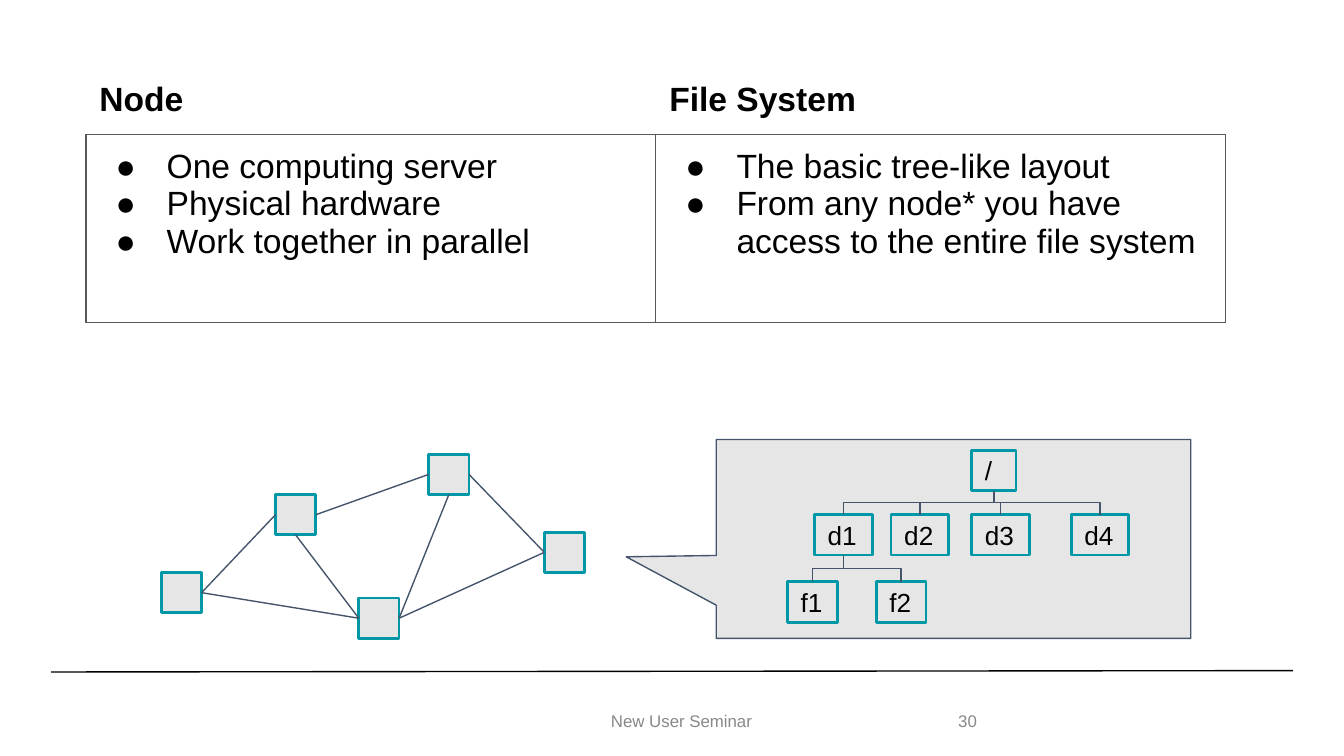
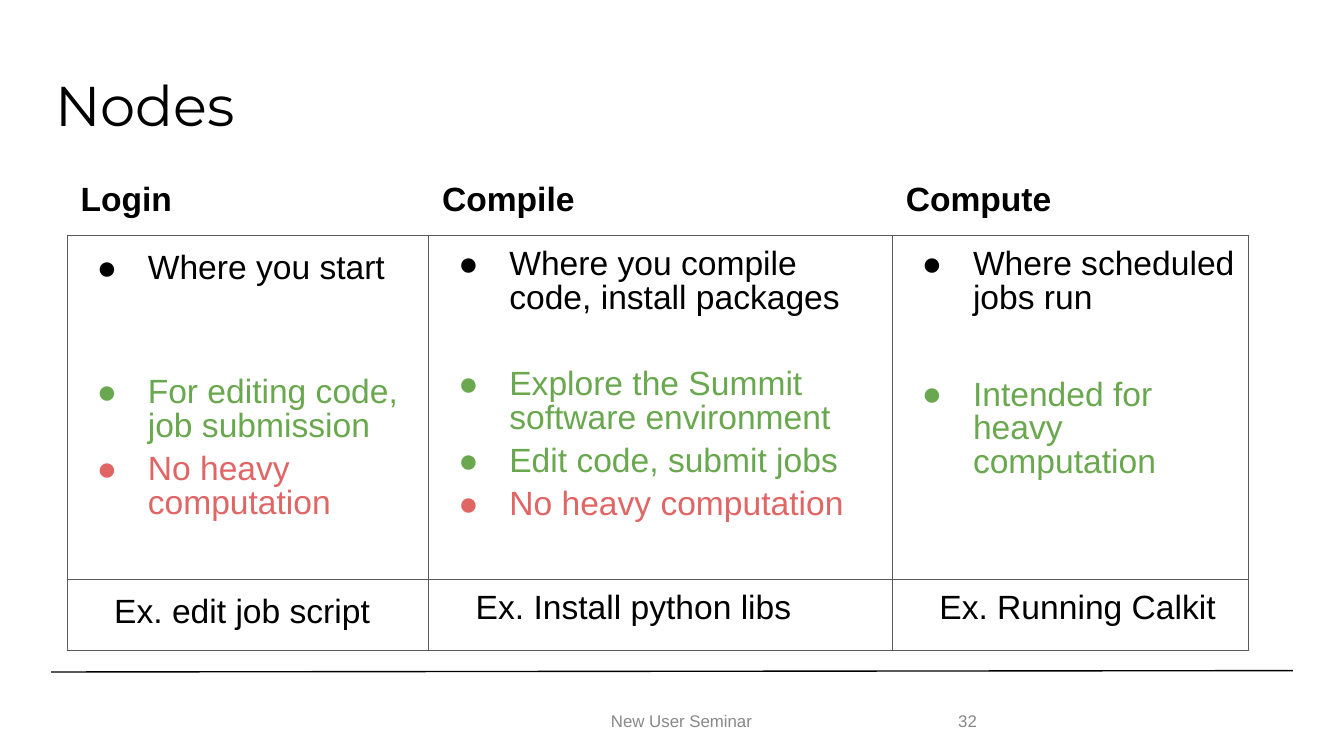
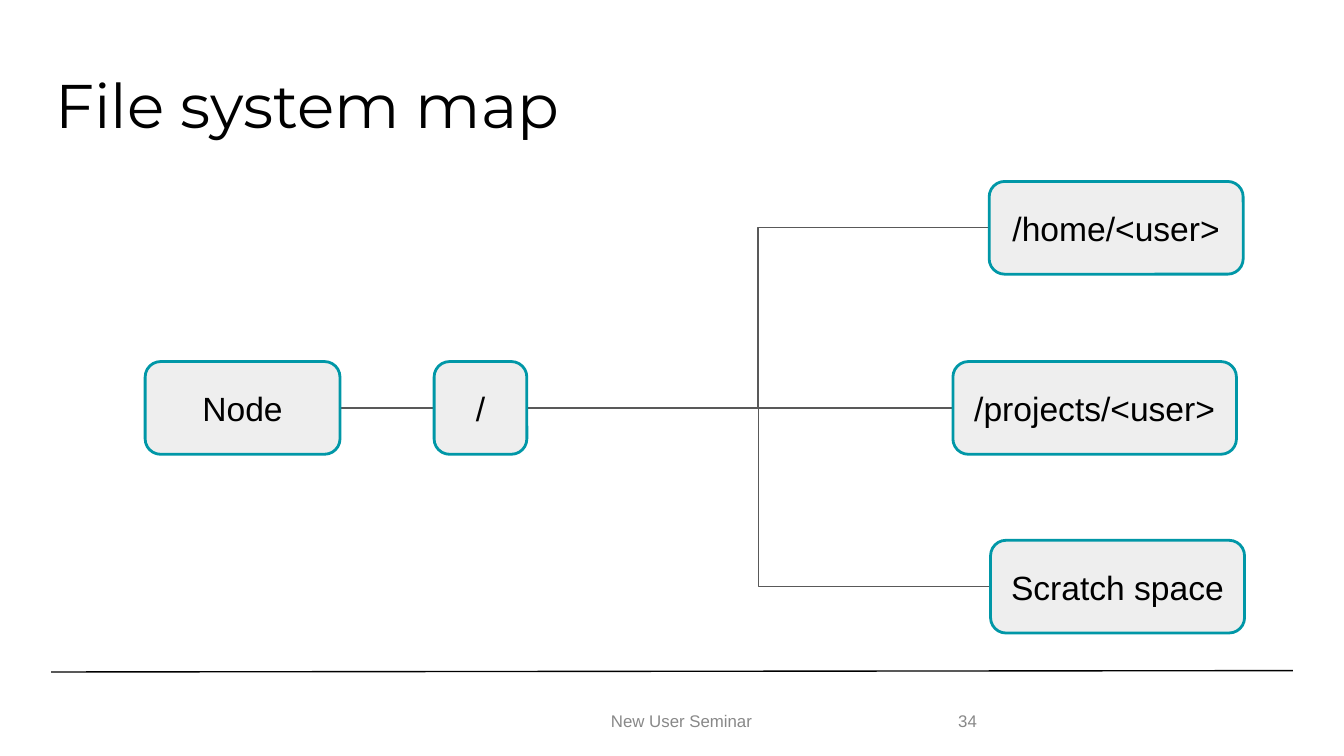
from lxml import etree
from pptx import Presentation
from pptx.dml.color import RGBColor
from pptx.enum.shapes import MSO_CONNECTOR, MSO_SHAPE
from pptx.enum.text import MSO_ANCHOR, PP_ALIGN
from pptx.oxml.ns import qn
from pptx.util import Inches, Pt

BLACK = RGBColor(0x00, 0x00, 0x00)
WHITE = RGBColor(0xFF, 0xFF, 0xFF)
GREY = RGBColor(0x88, 0x88, 0x88)
RULE = RGBColor(0x59, 0x59, 0x59)
SLATE = RGBColor(0x44, 0x54, 0x6A)
TEAL = RGBColor(0x00, 0x97, 0xA7)
PALE = RGBColor(0xE7, 0xE6, 0xE6)
MIST = RGBColor(0xEE, 0xEE, 0xEE)
GREEN = RGBColor(0x6A, 0xA8, 0x4F)
RED = RGBColor(0xE0, 0x66, 0x66)

BODY = {"size": Pt(18), "name": "Arial", "bold": False}
HEADING = BODY | {"bold": True}
LABEL = BODY | {"size": Pt(14)}
FOOTER = {"size": Pt(9), "name": "Arial"}
TITLE = {"name": "Montserrat"}

TEXT_MARGINS = (0.07, 0.04)
BOX_MARGINS = (0.1, 0.1)
SIDES = {"left": (0, 0.5), "right": (1, 0.5), "top": (0.5, 0), "bottom": (0.5, 1)}


def item(text, colour=BLACK, before=0, spacing=0.9, bullet="●", hang=0.38):
    return {"text": text, "colour": colour, "before": before,
            "spacing": spacing, "bullet": bullet, "hang": hang}


def example(text, spacing=0.9):
    return [item(text, spacing=spacing, bullet=None, hang=0.25)]


# Overview slide
OVERVIEW_TABLE = {
    "at": (0.64, 0.5), "columns": [4.24, 4.24], "rows": [0.48, 1.4],
    "headings": ["Node", "File System"],
    "body": [[
        [item("One computing server", spacing=1),
         item("Physical hardware", spacing=1),
         item("Work together in parallel", spacing=1)],
        [item("The basic tree-like layout", spacing=1),
         item("From any node* you have access to the entire file system", spacing=1)],
    ]],
}
NODE_SIZE = 0.3
NODES = {"west": (1.2, 4.26), "northwest": (2.05, 3.68), "north": (3.19, 3.38),
         "east": (4.05, 3.96), "south": (2.67, 4.45)}
NODE_LINKS = [
    ("west", "right", "northwest", "left"), ("west", "right", "south", "left"),
    ("northwest", "bottom", "south", "left"), ("northwest", "right", "north", "left"),
    ("north", "bottom", "south", "right"), ("north", "right", "east", "left"),
    ("south", "right", "east", "left"),
]
TREE_CALLOUT = (5.33, 3.27, 3.53, 1.48)
TREE_ROW_HEIGHT = 0.3
TREE = [  # label, parent, left, top, width
    ("/", None, 7.23, 3.35, 0.33),
    ("d1", "/", 6.06, 3.83, 0.43), ("d2", "/", 6.63, 3.83, 0.43),
    ("d3", "/", 7.23, 3.83, 0.43), ("d4", "/", 7.97, 3.83, 0.43),
    ("f1", "d1", 5.86, 4.33, 0.37), ("f2", "d1", 6.52, 4.33, 0.37),
]

# Nodes slide
NODES_TABLE = {
    "at": (0.5, 1.25), "columns": [2.69, 3.45, 2.65], "rows": [0.5, 2.56, 0.53],
    "headings": ["Login", "Compile", "Compute"],
    "body": [
        [[item("Where you start", spacing=1),
          item("For editing code, job submission", GREEN, 48.5),
          item("No heavy computation", RED, 5)],
         [item("Where you compile code, install packages"),
          item("Explore the Summit software environment", GREEN, 28),
          item("Edit code, submit jobs", GREEN, 5),
          item("No heavy computation", RED, 5)],
         [item("Where scheduled jobs run"),
          item("Intended for heavy computation", GREEN, 33.5)]],
        [example("Ex. edit job script", 1), example("Ex. Install python libs"),
         example("Ex. Running Calkit")],
    ],
}

# File system map slide
MAP_HEIGHT = 0.69
MAP_BOXES = {  # label: left, top, width
    "Node": (1.08, 2.69, 1.45), "/": (3.23, 2.69, 0.69),
    "/home/<user>": (7.36, 1.35, 1.89), "/projects/<user>": (7.09, 2.69, 2.11),
    "Scratch space": (7.37, 4.02, 1.89),
}
MAP_LINKS = [
    ("/", "/home/<user>", MSO_CONNECTOR.ELBOW),
    ("/", "Scratch space", MSO_CONNECTOR.ELBOW),
    ("Node", "/", MSO_CONNECTOR.STRAIGHT),
    ("/", "/projects/<user>", MSO_CONNECTOR.STRAIGHT),
]


def write(para, text, style, colour=BLACK):
    span = para.add_run()
    span.text = text
    for name, value in style.items():
        setattr(span.font, name, value)
    span.font.color.rgb = colour


def set_margins(target, across, down):
    for side, value in (("left", across), ("right", across), ("top", down), ("bottom", down)):
        setattr(target, f"margin_{side}", Inches(value))


def fill_frame(box, text, style, colour=BLACK, align=PP_ALIGN.LEFT, margins=BOX_MARGINS):
    frame = box.text_frame
    frame.word_wrap = True
    frame.vertical_anchor = MSO_ANCHOR.MIDDLE
    set_margins(frame, *margins)
    para = frame.paragraphs[0]
    para.alignment = align
    write(para, text, style, colour)
    return para


def add_text(page, place, *args, **options):
    box = page.shapes.add_textbox(*map(Inches, place))
    return fill_frame(box, *args, margins=TEXT_MARGINS, **options)


def add_box(page, place, kind=MSO_SHAPE.RECTANGLE, fill=PALE, line=TEAL, weight=1.5):
    box = page.shapes.add_shape(kind, *map(Inches, place))
    box.shadow.inherit = False
    box.fill.solid()
    box.fill.fore_color.rgb = fill
    box.line.color.rgb = line
    box.line.width = Pt(weight)
    return box


def add_line(page, start, end, colour=SLATE, kind=MSO_CONNECTOR.STRAIGHT):
    line = page.shapes.add_connector(kind, *map(Inches, (*start, *end)))
    line.line.color.rgb = colour
    line.line.width = Pt(0.75)
    etree.SubElement(line._element.spPr, qn("a:effectLst"))
    return line


def add_upright_elbow(page, child, parent):
    """Join two points with an elbow that leaves and arrives vertically."""
    middle_x, middle_y = ((a + b) / 2 for a, b in zip(child, parent))
    across, down = child[0] - middle_x, child[1] - middle_y
    turn = 1 if across > 0 else -1
    shift_x, shift_y = turn * down, -turn * across
    line = add_line(page, (middle_x + shift_x, middle_y + shift_y),
                    (middle_x - shift_x, middle_y - shift_y), kind=MSO_CONNECTOR.ELBOW)
    line.rotation = 90 if turn > 0 else 270


def anchor(place, side):
    left, top, width, height = place
    across, down = SIDES[side]
    return left + across * width, top + down * height


def add_colour(parent, colour):
    etree.SubElement(parent, qn("a:srgbClr"), val=str(colour))


def set_borders(cell, colours):
    properties = cell._tc.get_or_add_tcPr()
    for edge, colour in zip("LRTB", colours):
        line = etree.SubElement(properties, qn(f"a:ln{edge}"), w=str(Pt(0.75)))
        add_colour(etree.SubElement(line, qn("a:solidFill")), colour)


def write_item(para, entry):
    properties = para._p.get_or_add_pPr()
    properties.set("marL", str(Inches(0.5)))
    properties.set("indent", str(-Inches(entry["hang"])))
    if entry["bullet"]:
        add_colour(etree.SubElement(properties, qn("a:buClr")), entry["colour"])
        etree.SubElement(properties, qn("a:buFont"), typeface=BODY["name"])
        etree.SubElement(properties, qn("a:buChar"), char=entry["bullet"])
    para.line_spacing = entry["spacing"]
    if entry["before"]:
        para.space_before = Pt(entry["before"])
    write(para, entry["text"], BODY, entry["colour"])


def add_grid(page, content):
    columns, rows = content["columns"], content["rows"]
    place = (*content["at"], sum(columns), sum(rows))
    table = page.shapes.add_table(len(rows), len(columns), *map(Inches, place)).table
    table.first_row = table.horz_banding = False
    for column, width in zip(table.columns, columns):
        column.width = Inches(width)
    for row, height in zip(table.rows, rows):
        row.height = Inches(height)
    for index, heading in enumerate(content["headings"]):
        cell = table.cell(0, index)
        set_borders(cell, (WHITE, WHITE, WHITE, RULE))
        write(cell.text_frame.paragraphs[0], heading, HEADING)
    for row_index, row in enumerate(content["body"], 1):
        for index, entries in enumerate(row):
            cell = table.cell(row_index, index)
            set_borders(cell, (RULE,) * 4)
            frame = cell.text_frame
            for number, entry in enumerate(entries):
                write_item(frame.add_paragraph() if number else frame.paragraphs[0], entry)
    for cell in table.iter_cells():
        set_margins(cell, *BOX_MARGINS)
        cell.fill.background()


def add_page(deck, number, title=None, title_size=30):
    page = deck.slides.add_slide(deck.slide_layouts[6])
    add_line(page, (0.38, 5), (9.62, 4.99), BLACK)
    if title:
        para = add_text(page, (0.34, 0.49, 9.32, 0.63), title, TITLE | {"size": Pt(title_size)})
        para.line_spacing = 0.9
    add_text(page, (3.38, 5.21, 3.38, 0.3), "New User Seminar", FOOTER, GREY,
             align=PP_ALIGN.CENTER)
    add_text(page, (7.06, 5.21, 0.56, 0.3), str(number), FOOTER, GREY)
    return page


def build_overview(deck):
    page = add_page(deck, 30)
    callout = add_box(page, TREE_CALLOUT, MSO_SHAPE.ROUNDED_RECTANGULAR_CALLOUT,
                      line=SLATE, weight=0.75)
    for index, value in enumerate((-0.69, 0.09, 0)):
        callout.adjustments[index] = value
    add_grid(page, OVERVIEW_TABLE)

    places = {name: (*corner, NODE_SIZE, NODE_SIZE) for name, corner in NODES.items()}
    for place in places.values():
        add_box(page, place)
    for start, start_side, end, end_side in NODE_LINKS:
        add_line(page, anchor(places[start], start_side), anchor(places[end], end_side))

    branches = {}
    for label, parent, left, top, width in TREE:
        branches[label] = (left, top, width, TREE_ROW_HEIGHT)
        fill_frame(add_box(page, branches[label]), label, LABEL)
        if parent:
            add_upright_elbow(page, anchor(branches[label], "top"),
                              anchor(branches[parent], "bottom"))


def build_nodes(deck):
    add_grid(add_page(deck, 32, "Nodes"), NODES_TABLE)


def build_map(deck):
    page = add_page(deck, 34, "File system map", 33)
    places = {label: (*place, MAP_HEIGHT) for label, place in MAP_BOXES.items()}
    for start, end, kind in MAP_LINKS:
        add_line(page, anchor(places[start], "right"), anchor(places[end], "left"), RULE, kind)
    for label, place in places.items():
        box = add_box(page, place, MSO_SHAPE.ROUNDED_RECTANGLE, MIST)
        fill_frame(box, label, BODY, align=PP_ALIGN.CENTER)


def main():
    deck = Presentation()
    deck.slide_width = Inches(10)
    deck.slide_height = deck.slide_width * 9 // 16
    for build in (build_overview, build_nodes, build_map):
        build(deck)
    deck.save("out.pptx")


if __name__ == "__main__":
    main()
